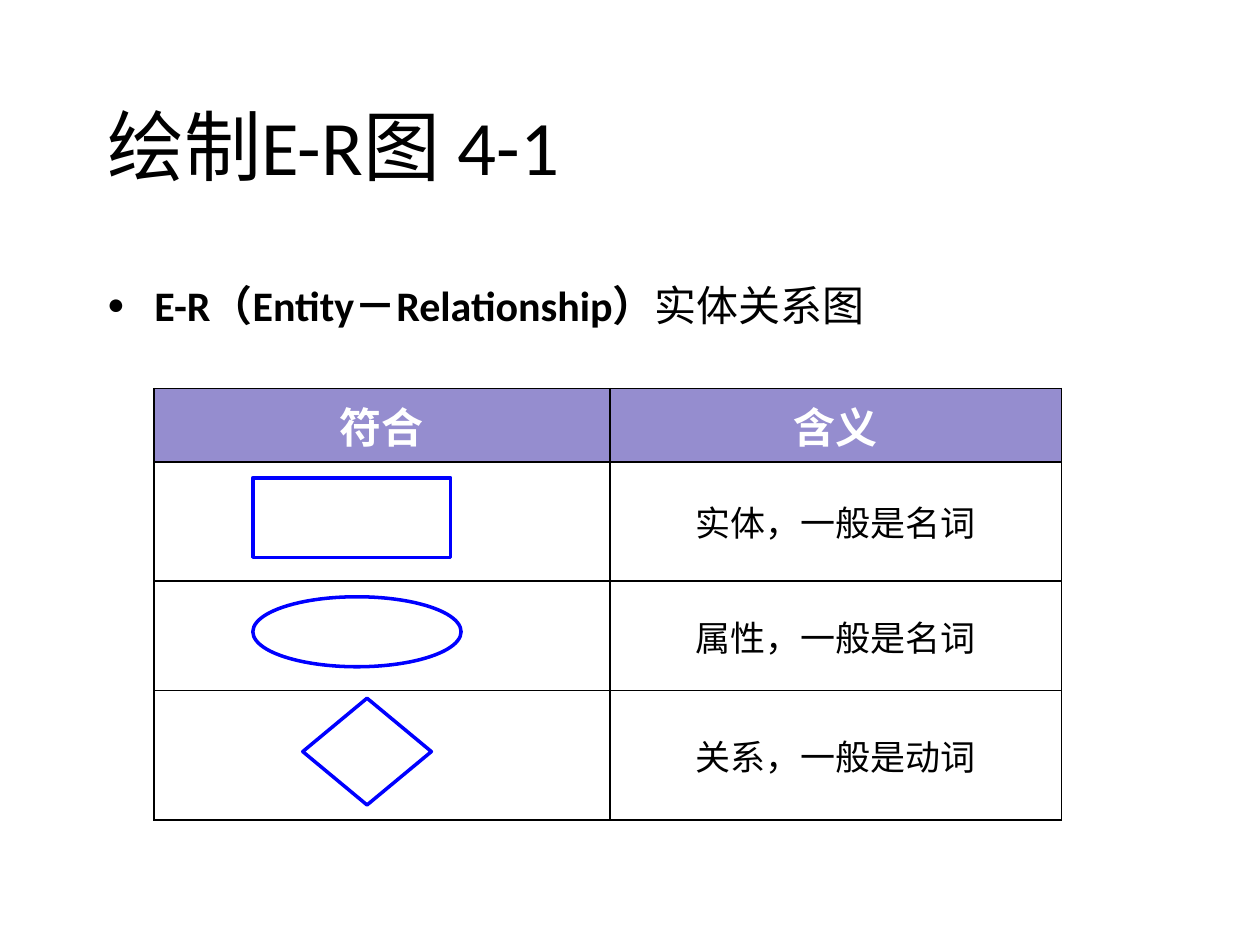
from lxml import etree
from pptx import Presentation
from pptx.dml.color import RGBColor
from pptx.enum import shapes, text
from pptx.oxml import ns
from pptx.util import Pt

BLACK = RGBColor(0, 0, 0)
WHITE = RGBColor(255, 255, 255)
BLUE = RGBColor(0, 0, 255)
PURPLE = RGBColor(0x95, 0x8D, 0xCF)

TITLE = dict(size=Pt(44), name="Calibri", bold=False)
TERM = dict(size=Pt(24), name="Calibri", bold=True)
GLOSS = dict(TERM, bold=False)
HEADER = dict(size=Pt(24), name="Arial", bold=True)
CELL = dict(size=Pt(20), name="Arial", bold=False)


def add_run(p, words, fmt, color=BLACK):
    """Append a formatted run to a paragraph."""
    r = p.add_run()
    r.text = words
    for key, value in fmt.items():
        setattr(r.font, key, value)
    r.font.color.rgb = color


def place(sp, box):
    """Move a shape to a box of left, top, width and height in points."""
    for key, value in zip(("left", "top", "width", "height"), box):
        setattr(sp, key, Pt(value))


def add_element(parent, tag, **attrs):
    """Append a DrawingML element and return it."""
    return etree.SubElement(parent, ns.qn(tag), attrs)


def fill_title(s, box, words):
    """Fill the title placeholder."""
    sp = s.shapes.title
    place(sp, box)
    tf = sp.text_frame
    tf.vertical_anchor = text.MSO_ANCHOR.MIDDLE
    p = tf.paragraphs[0]
    p.alignment = text.PP_ALIGN.LEFT
    add_run(p, words, TITLE)


def fill_body(s, box, term, gloss):
    """Fill the body placeholder with one bulleted definition."""
    sp = s.placeholders[1]
    place(sp, box)
    p = sp.text_frame.paragraphs[0]
    p.space_before = Pt(4.8)
    pPr = p._p.get_or_add_pPr()
    pPr.set("marL", str(Pt(27)))
    pPr.set("indent", str(-Pt(27)))
    add_element(add_element(pPr, "a:buClr"), "a:srgbClr", val=str(BLACK))
    add_element(pPr, "a:buSzPct", val="70000")
    add_element(pPr, "a:buChar", char="●")
    add_run(p, term, TERM)
    add_run(p, gloss, GLOSS)


def add_borders(cell):
    """Draw a thin black line on every side of a cell."""
    tcPr = cell._tc.get_or_add_tcPr()
    for side in ("a:lnL", "a:lnR", "a:lnT", "a:lnB"):
        ln = add_element(tcPr, side, w=str(Pt(1)))
        add_element(add_element(ln, "a:solidFill"), "a:srgbClr", val=str(BLACK))


def add_meanings(s, box, widths, heights, rows):
    """Add the table of symbols and meanings."""
    frame = s.shapes.add_table(len(rows), len(widths), *map(Pt, box))
    table = frame.table
    table.horz_banding = False
    for col, width in zip(table.columns, widths):
        col.width = Pt(width)
    for i, (height, row) in enumerate(zip(heights, rows)):
        table.rows[i].height = Pt(height)
        for j, words in enumerate(row):
            cell = table.cell(i, j)
            add_borders(cell)
            if i == 0:
                cell.fill.solid()
                cell.fill.fore_color.rgb = PURPLE
                fmt, color = HEADER, WHITE
            else:
                cell.fill.background()
                cell.vertical_anchor = text.MSO_ANCHOR.MIDDLE
                fmt, color = CELL, BLACK
            if words:
                p = cell.text_frame.paragraphs[0]
                p.alignment = text.PP_ALIGN.CENTER
                p.space_before = fmt["size"] // 5
                add_run(p, words, fmt, color)


def add_symbols(s, left, top, symbols):
    """Add the group of outlined symbols, offset from a corner."""
    group = s.shapes.add_group_shape()
    for kind, x, y, width, height in symbols:
        sp = group.shapes.add_shape(
            kind, Pt(left + x), Pt(top + y), Pt(width), Pt(height))
        sp.shadow.inherit = False
        sp.fill.background()
        sp.line.color.rgb = BLUE
        sp.line.width = Pt(2)


def main():
    """Build the slide and save it."""
    prs = Presentation()
    prs.slide_width, prs.slide_height = Pt(720), Pt(540)
    s = prs.slides.add_slide(prs.slide_layouts[1])
    fill_title(s, (54, 26, 606, 113), "绘制E-R图 4-1")
    fill_body(s, (54, 156, 607, 45.5),
              "E-R（Entity－Relationship）", "实体关系图")
    add_meanings(s, (88, 222, 518.5, 246.5), (260.5, 258), (42, 68, 62.5, 74),
                 (("符合", "含义"),
                  ("", "实体，一般是名词"),
                  ("", "属性，一般是名词"),
                  ("", "关系，一般是动词")))
    kinds = shapes.MSO_SHAPE
    add_symbols(s, 144.5, 273,
                ((kinds.RECTANGLE, 0, 0, 113, 45.5),
                 (kinds.OVAL, 0, 68, 119, 40),
                 (kinds.DIAMOND, 28.5, 126, 73.5, 61)))
    prs.save("out.pptx")


if __name__ == "__main__":
    main()
